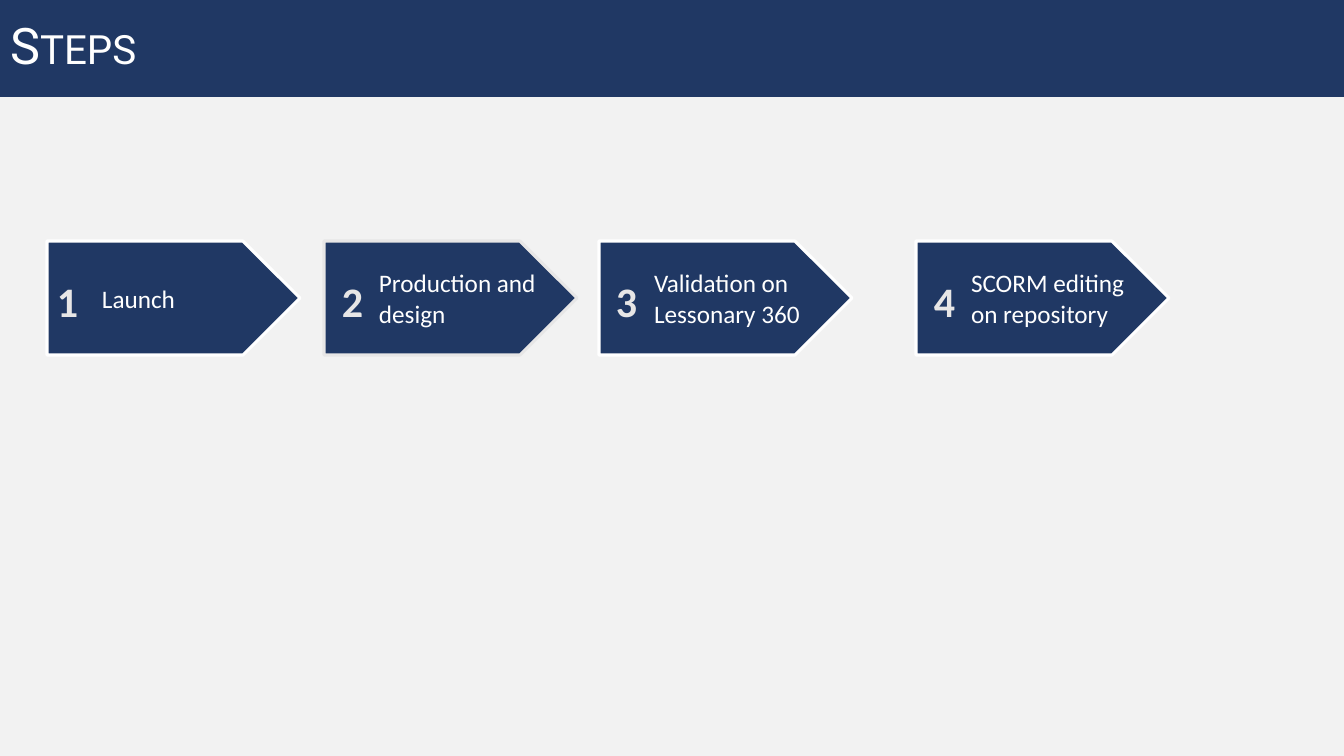
from dataclasses import dataclass

from pptx import Presentation
from pptx.dml.color import RGBColor
from pptx.enum.shapes import MSO_SHAPE
from pptx.enum.text import MSO_ANCHOR, MSO_AUTO_SIZE, PP_ALIGN
from pptx.oxml.ns import qn
from pptx.slide import Slide
from pptx.util import Emu, Pt

EMU_PER_INCH = 914400
PX_PER_INCH = 100.8
PAGE_WIDTH, PAGE_HEIGHT = 1344, 756
BANNER_HEIGHT = 97
ARROW_TOP, ARROW_WIDTH, ARROW_HEIGHT = 241, 253, 114
ARROW_TEXT_INDENT = 55
NUMBER_TOP, NUMBER_WIDTH, NUMBER_HEIGHT = 271, 42, 61


@dataclass(frozen=True)
class Theme:
    navy: RGBColor = RGBColor.from_string("203864")
    white: RGBColor = RGBColor.from_string("FFFFFF")
    silver: RGBColor = RGBColor.from_string("E7E6E6")
    background: RGBColor = RGBColor.from_string("F2F2F2")
    title_font: str = "Roboto"
    body_font: str = "Calibri"
    title_size: Pt = Pt(36)
    label_size: Pt = Pt(18)
    number_size: Pt = Pt(30)
    outline_width: Pt = Pt(2.25)


THEME = Theme()


@dataclass(frozen=True)
class Step:
    label: str
    left: int
    number_left: int
    outline: RGBColor = THEME.white


STEPS = (
    Step("Launch", 47, 47),
    Step("Production and design", 324, 332, THEME.silver),
    Step("Validation on Lessonary 360", 599, 606),
    Step("SCORM editing on repository", 916, 924),
)


def px(length: int) -> Emu:
    return Emu(round(length * EMU_PER_INCH / PX_PER_INCH))


def write(box, text: str, name: str, size: Pt, color: RGBColor, bold: bool = False):
    paragraph = box.text_frame.paragraphs[0]
    paragraph.text = text
    paragraph.alignment = PP_ALIGN.LEFT
    paragraph.font.name = name
    paragraph.font.size = size
    paragraph.font.bold = bold
    paragraph.font.color.rgb = color
    return paragraph


def draw_banner(page: Slide) -> None:
    banner = page.shapes.title
    banner.left, banner.top = px(0), px(0)
    banner.width, banner.height = px(PAGE_WIDTH), px(BANNER_HEIGHT)
    banner.fill.solid()
    banner.fill.fore_color.rgb = THEME.navy
    frame = banner.text_frame
    frame.auto_size = MSO_AUTO_SIZE.NONE
    frame.word_wrap = False
    frame.vertical_anchor = MSO_ANCHOR.MIDDLE
    paragraph = write(banner, "Steps", THEME.title_font, THEME.title_size, THEME.white)
    paragraph.line_spacing = 0.9
    paragraph._p.pPr.find(qn("a:defRPr")).set("cap", "small")


def draw_arrow(page: Slide, step: Step) -> None:
    arrow = page.shapes.add_shape(
        MSO_SHAPE.PENTAGON, px(step.left), px(ARROW_TOP), px(ARROW_WIDTH), px(ARROW_HEIGHT)
    )
    arrow.shadow.inherit = False
    arrow.fill.solid()
    arrow.fill.fore_color.rgb = THEME.navy
    arrow.line.color.rgb = step.outline
    arrow.line.width = THEME.outline_width
    frame = arrow.text_frame
    frame.word_wrap = True
    frame.vertical_anchor = MSO_ANCHOR.MIDDLE
    frame.margin_left = px(ARROW_TEXT_INDENT)
    write(arrow, step.label, THEME.body_font, THEME.label_size, THEME.white)


def draw_number(page: Slide, step: Step, number: int) -> None:
    box = page.shapes.add_textbox(
        px(step.number_left), px(NUMBER_TOP), px(NUMBER_WIDTH), px(NUMBER_HEIGHT)
    )
    box.text_frame.word_wrap = False
    box.text_frame.auto_size = MSO_AUTO_SIZE.SHAPE_TO_FIT_TEXT
    write(box, str(number), THEME.body_font, THEME.number_size, THEME.silver, bold=True)


def main() -> None:
    deck = Presentation()
    deck.slide_width, deck.slide_height = px(PAGE_WIDTH), px(PAGE_HEIGHT)
    page = deck.slides.add_slide(deck.slide_layouts.get_by_name("Title Only"))
    page.background.fill.solid()
    page.background.fill.fore_color.rgb = THEME.background
    draw_banner(page)
    for number, step in enumerate(STEPS, start=1):
        draw_arrow(page, step)
        draw_number(page, step, number)
    deck.save("out.pptx")


if __name__ == "__main__":
    main()
